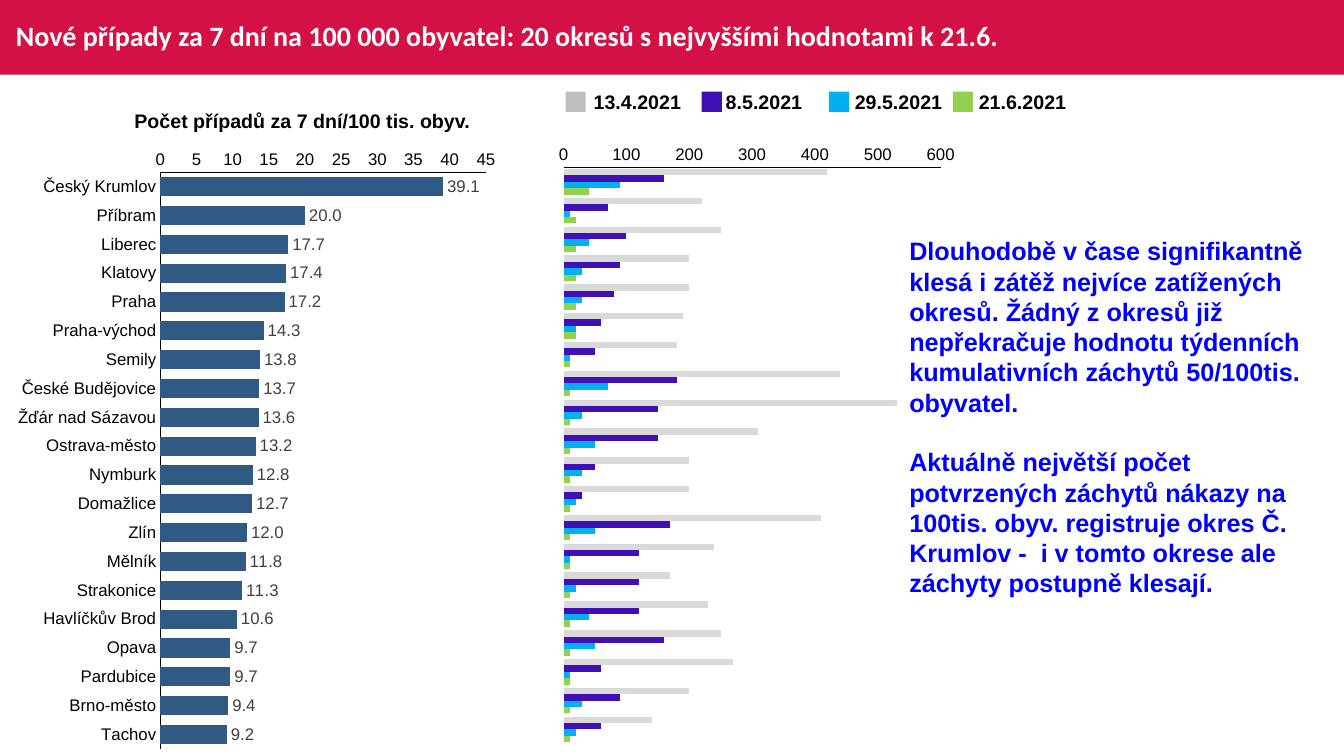
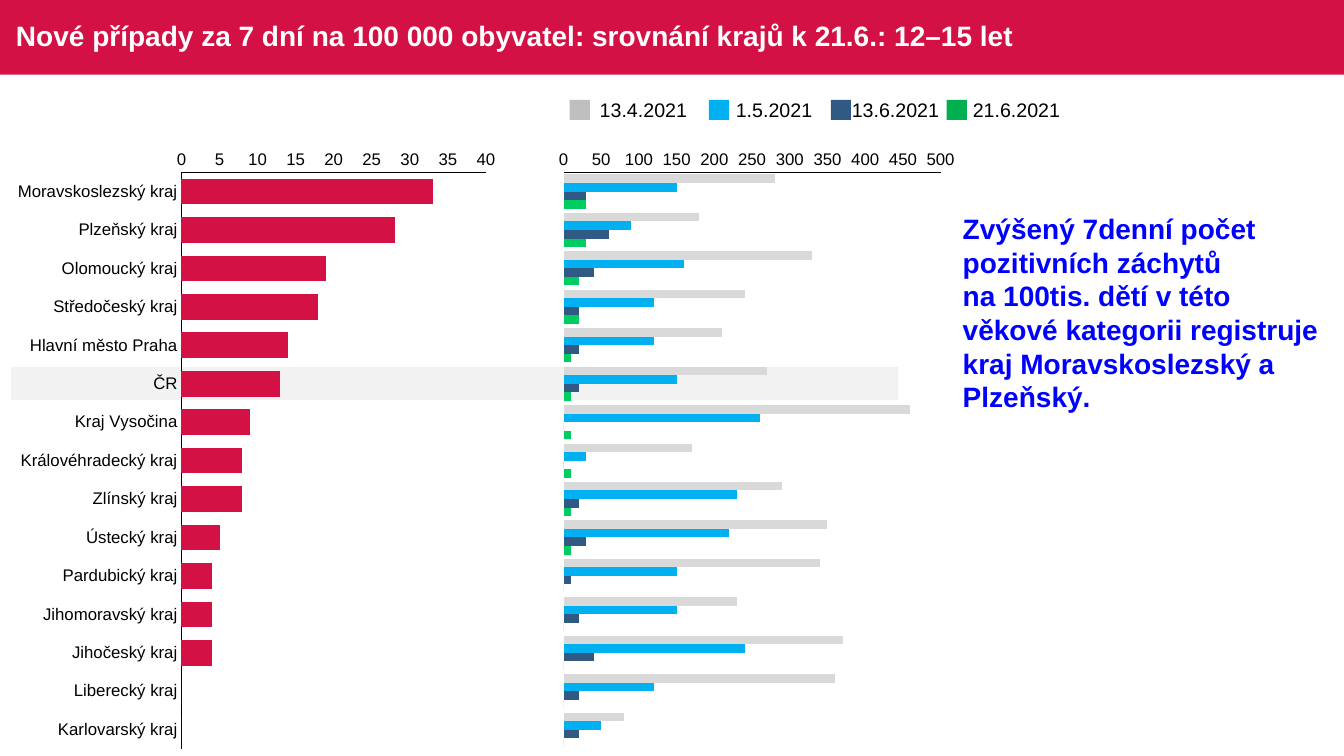
from lxml import etree
from pptx import Presentation
from pptx import util as u
from pptx.chart import data as chart_data
from pptx.dml.color import RGBColor
from pptx.enum import chart as charts, shapes, text
from pptx.oxml import parse_xml
from pptx.oxml.ns import nsdecls, qn

PX = 9144  # 100 px to the inch
COLORS = {
    "crimson": "D31145", "white": "FFFFFF", "black": "000000", "note": "0000FF",
    "navy": "305983", "violet": "4010B7", "sky": "00B0F0", "lime": "92D050",
    "mint": "00CD61", "green": "00B050", "silver": "D9D9D9", "gray": "BFBFBF",
    "pale": "F2F2F2", "label": "404040",
}
BAND_HEIGHT, SWATCH = 74, 20
PLOT_TOP, PLOT_HEIGHT = 34, 577
CHART_HEIGHT = 619


def add_text(page, box_at, paragraphs, size, color="black", bold=True, font="Arial",
             align=text.PP_ALIGN.LEFT, anchor=text.MSO_ANCHOR.TOP, wrap=True,
             gap=0, line_spacing=None):
    box = page.shapes.add_textbox(*[n * PX for n in box_at])
    frame = box.text_frame
    frame.word_wrap = wrap
    frame.vertical_anchor = anchor
    for number, words in enumerate(paragraphs):
        para = frame.add_paragraph() if number else frame.paragraphs[0]
        para.text = words
        para.alignment = align
        if number:
            para.space_before = u.Pt(gap)
        if line_spacing:
            para.line_spacing = line_spacing
        for span in para.runs:
            span.font.name = font
            span.font.size = u.Pt(size)
            span.font.bold = bold
            span.font.color.rgb = RGBColor.from_string(COLORS[color])


def add_bars(page, left, top, width, plot_left, plot_width, categories, series,
             maximum, step, show_names=False, label_format=None):
    source = chart_data.CategoryChartData()
    source.categories = categories
    for name, color, values in series:
        source.add_series(name, values)
    chart = page.shapes.add_chart(
        charts.XL_CHART_TYPE.BAR_CLUSTERED, left * PX, top * PX,
        width * PX, CHART_HEIGHT * PX, source).chart
    chart.has_legend = False
    chart.has_title = False
    chart.font.name = "Arial"
    chart.font.size = u.Pt(12)
    chart.font.color.rgb = RGBColor.from_string(COLORS["black"])

    # Axes: first category on top, scale above the bars
    chart.category_axis.reverse_order = True
    chart.category_axis.visible = show_names
    chart.value_axis.minimum_scale = 0
    chart.value_axis.maximum_scale = maximum
    chart.value_axis.major_unit = step
    chart.value_axis.tick_labels.number_format = "General"
    chart.value_axis.tick_labels.number_format_is_linked = False
    for axis in (chart.category_axis, chart.value_axis):
        axis.has_major_gridlines = False
        axis.major_tick_mark = charts.XL_TICK_MARK.NONE
        axis.minor_tick_mark = charts.XL_TICK_MARK.NONE
        axis.format.line.width = u.Pt(0.75)
        axis.format.line.color.rgb = RGBColor.from_string(COLORS["black"])

    # Bars and their labels
    plot = chart.plots[0]
    plot.gap_width = 50
    plot.overlap = 0
    plot.vary_by_categories = False
    for bars, (name, color, values) in zip(plot.series, series):
        bars.invert_if_negative = False
        bars.format.fill.solid()
        bars.format.fill.fore_color.rgb = RGBColor.from_string(COLORS[color])
    if label_format:
        plot.has_data_labels = True
        labels = plot.data_labels
        labels.show_value = True
        labels.number_format = label_format
        labels.number_format_is_linked = False
        labels.position = charts.XL_LABEL_POSITION.OUTSIDE_END
        labels.font.name = "Arial"
        labels.font.size = u.Pt(12)
        labels.font.color.rgb = RGBColor.from_string(COLORS["label"])

    # Fixed plot area on a transparent background
    chart_root = chart.element.find(qn("c:chart"))
    area = chart_root.find(qn("c:plotArea"))
    for old in area.findall(qn("c:layout")):
        area.remove(old)
    layout = etree.Element(qn("c:layout"))
    manual = etree.SubElement(layout, qn("c:manualLayout"))
    for tag, value in (("layoutTarget", "inner"), ("xMode", "edge"), ("yMode", "edge"),
                       ("x", plot_left / width), ("y", PLOT_TOP / CHART_HEIGHT),
                       ("w", plot_width / width),
                       ("h", (PLOT_HEIGHT - 5) / CHART_HEIGHT)):
        etree.SubElement(manual, qn("c:" + tag)).set("val", str(value))
    area.insert(0, layout)
    clear = f'<c:spPr {nsdecls("c", "a")}><a:noFill/><a:ln><a:noFill/></a:ln></c:spPr>'
    area.append(parse_xml(clear))
    chart_root.addnext(parse_xml(clear))


# Content of the two pages
PAGES = [
    {
        "title": "Nové případy za 7 dní na 100 000 obyvatel: 20 okresů s nejvyššími hodnotami k 21.6.",
        "title_font": "Calibri",
        "highlight": None,
        "heading": "Počet případů za 7 dní/100 tis. obyv.",
        "names": ["Český Krumlov", "Příbram", "Liberec", "Klatovy", "Praha", "Praha-východ",
                  "Semily", "České Budějovice", "Žďár nad Sázavou", "Ostrava-město",
                  "Nymburk", "Domažlice", "Zlín", "Mělník", "Strakonice", "Havlíčkův Brod",
                  "Opava", "Pardubice", "Brno-město", "Tachov"],
        "current": [39.1, 20, 17.7, 17.4, 17.2, 14.3, 13.8, 13.7, 13.6, 13.2,
                    12.8, 12.7, 12, 11.8, 11.3, 10.6, 9.7, 9.7, 9.4, 9.2],
        "current_color": "navy",
        "current_format": "#,##0.0",
        "current_scale": (45, 5),
        "current_plot": (151, 323),
        "history": [
            ("13.4.2021", "silver", [420, 220, 250, 200, 200, 190, 180, 440, 530, 310,
                                     200, 200, 410, 240, 170, 230, 250, 270, 200, 140]),
            ("8.5.2021", "violet", [160, 70, 100, 90, 80, 60, 50, 180, 150, 150,
                                    50, 30, 170, 120, 120, 120, 160, 60, 90, 60]),
            ("29.5.2021", "sky", [90, 10, 40, 30, 30, 20, 10, 70, 30, 50,
                                  30, 20, 50, 10, 20, 40, 50, 10, 30, 20]),
            ("21.6.2021", "lime", [40] + [20] * 5 + [10] * 14),
        ],
        "history_top": 132,
        "history_scale": (600, 100),
        "legend_top": 84,
        "legend_bold": True,
        "legend": [("gray", 561, 579), ("violet", 696, 710),
                   ("sky", 822, 838), ("lime", 945, 961)],
        "note_at": (892, 229, 434, 374),
        "note_size": 18,
        "note": ["Dlouhodobě v čase signifikantně klesá i zátěž nejvíce zatížených okresů. "
                 "Žádný z okresů již nepřekračuje hodnotu týdenních kumulativních záchytů "
                 "50/100tis. obyvatel.",
                 "Aktuálně největší počet potvrzených záchytů nákazy na 100tis. obyv. "
                 "registruje okres Č. Krumlov -  i v tomto okrese ale záchyty postupně klesají."],
    },
    {
        "title": "Nové případy za 7 dní na 100 000 obyvatel: srovnání krajů k 21.6.: 12–15 let",
        "title_font": "Arial",
        "highlight": (11, 364, 880, 33),
        "heading": None,
        "names": ["Moravskoslezský kraj", "Plzeňský kraj", "Olomoucký kraj",
                  "Středočeský kraj", "Hlavní město Praha", "ČR", "Kraj Vysočina",
                  "Královéhradecký kraj", "Zlínský kraj", "Ústecký kraj", "Pardubický kraj",
                  "Jihomoravský kraj", "Jihočeský kraj", "Liberecký kraj", "Karlovarský kraj"],
        "current": [33, 28, 19, 18, 14, 13, 9, 8, 8, 5, 4, 4, 4, 0, 0],
        "current_color": "crimson",
        "current_format": None,
        "current_scale": (40, 5),
        "current_plot": (172, 302),
        "history": [
            ("13.4.2021", "silver", [280, 180, 330, 240, 210, 270, 460, 170, 290, 350,
                                     340, 230, 370, 360, 80]),
            ("1.5.2021", "sky", [150, 90, 160, 120, 120, 150, 260, 30, 230, 220,
                                 150, 150, 240, 120, 50]),
            ("13.6.2021", "navy", [30, 60, 40, 20, 20, 20, 0, 0, 20, 30, 10, 20, 40, 20, 20]),
            ("21.6.2021", "mint", [30, 30, 20, 20] + [10] * 6 + [0] * 5),
        ],
        "history_top": 137,
        "history_scale": (500, 50),
        "legend_top": 92,
        "legend_bold": False,
        "legend": [("gray", 565, 585), ("sky", 703, 720),
                   ("navy", 824, 835), ("green", 939, 955)],
        "note_at": (945, 205, 375, 212),
        "note_size": 20,
        "note": ["Zvýšený 7denní počet pozitivních záchytů \vna 100tis. dětí v této věkové "
                 "kategorii registruje kraj Moravskoslezský a Plzeňský."],
    },
]

deck = Presentation()
deck.slide_width = 1333 * PX
deck.slide_height = 750 * PX

for content in PAGES:
    page = deck.slides.add_slide(deck.slide_layouts[6])

    # Title band, highlighted row and legend swatches
    blocks = [("crimson", (0, 0, 1333, BAND_HEIGHT))]
    if content["highlight"]:
        blocks.append(("pale", content["highlight"]))
    for color, swatch_left, label_left in content["legend"]:
        blocks.append((color, (swatch_left, content["legend_top"] + 7, SWATCH, SWATCH)))
    for color, block_at in blocks:
        block = page.shapes.add_shape(shapes.MSO_SHAPE.RECTANGLE, *[n * PX for n in block_at])
        block.shadow.inherit = False
        block.fill.solid()
        block.fill.fore_color.rgb = RGBColor.from_string(COLORS[color])
        block.line.fill.background()

    # Title
    add_text(page, (6, 0, 1201, BAND_HEIGHT), [content["title"]], 20, color="white",
             font=content["title_font"], anchor=text.MSO_ANCHOR.MIDDLE, line_spacing=0.9)

    # Current values on the left, development in time on the right
    if content["heading"]:
        add_text(page, (123, 103, 354, 34), [content["heading"]], 14,
                 align=text.PP_ALIGN.CENTER, wrap=False)
    add_bars(page, 8, 137, 494, *content["current_plot"], content["names"],
             [("21.6.2021", content["current_color"], content["current"])],
             *content["current_scale"], show_names=True,
             label_format=content["current_format"])
    add_bars(page, 546, content["history_top"], 409, 13, 374, content["names"],
             content["history"], *content["history_scale"])

    # Legend dates
    for (color, swatch_left, label_left), (date, *rest) in zip(content["legend"],
                                                              content["history"]):
        add_text(page, (label_left, content["legend_top"], 107, 34), [date], 14,
                 bold=content["legend_bold"], wrap=False)

    # Comment
    add_text(page, content["note_at"], content["note"], content["note_size"],
             color="note", gap=21)

deck.save("out.pptx")
